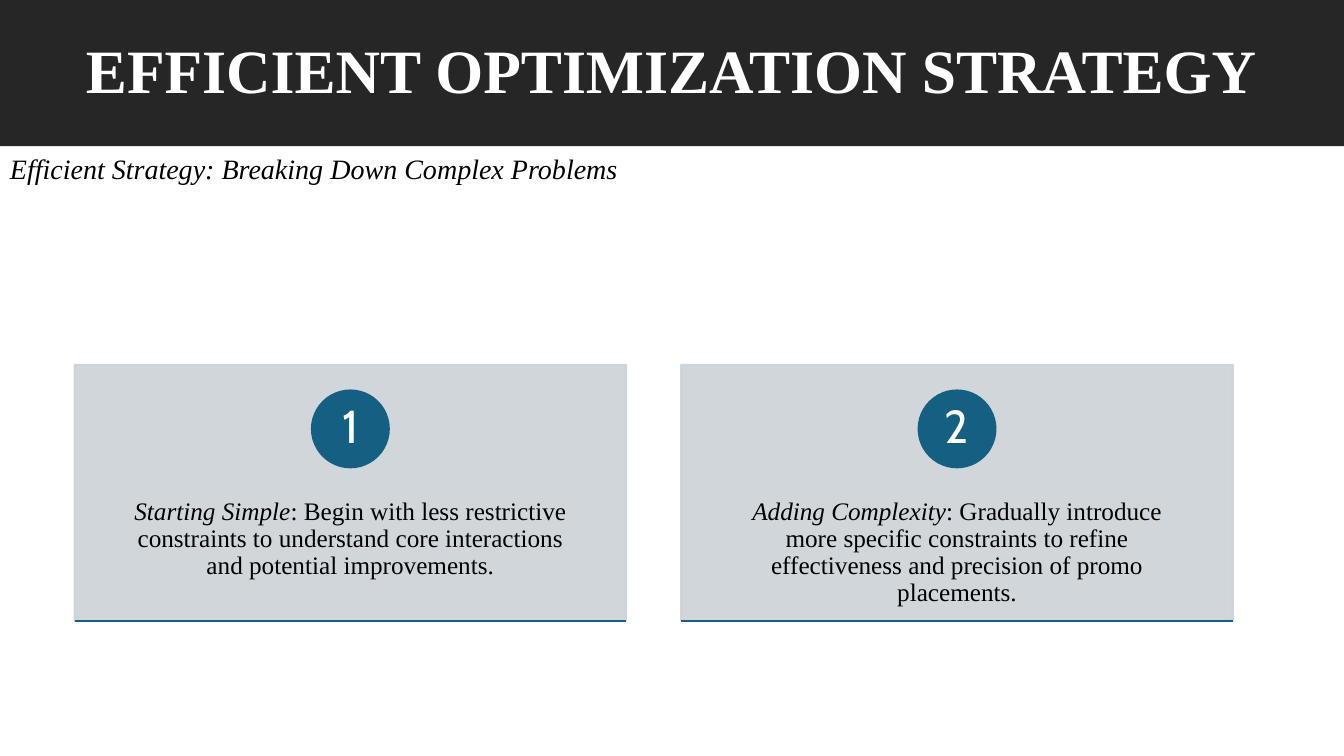
from lxml import etree
from pptx import Presentation
from pptx.dml.color import RGBColor
from pptx.enum.shapes import MSO_CONNECTOR, MSO_SHAPE
from pptx.enum.text import MSO_ANCHOR, PP_ALIGN
from pptx.oxml.ns import qn
from pptx.util import Inches, Pt

RECTANGLE, OVAL = MSO_SHAPE.RECTANGLE, MSO_SHAPE.OVAL
STRAIGHT = MSO_CONNECTOR.STRAIGHT
TOP, MIDDLE = MSO_ANCHOR.TOP, MSO_ANCHOR.MIDDLE
LEFT, CENTER = PP_ALIGN.LEFT, PP_ALIGN.CENTER

COLORS = {"banner": "262626", "card": "CCD2D8", "accent": "156082",
          "light": "FFFFFF", "dark": "000000"}
SERIF, NUMERAL = "Times New Roman", "Cabin"
PAGE_WIDTH, PAGE_HEIGHT = 13.33, 7.5
BANNER_HEIGHT = 1.45
CARD_LEFT, CARD_TOP, CARD_WIDTH, CARD_HEIGHT = 0.74, 3.62, 5.47, 2.54
CARD_STEP = 1.1 * CARD_WIDTH
CARDS = [
    ("Starting Simple", ": Begin with less restrictive constraints to understand "
     "core interactions and potential improvements."),
    ("Adding Complexity", ": Gradually introduce more specific constraints to refine "
     "effectiveness and precision of promo placements."),
]


def color(name):
    return RGBColor.from_string(COLORS[name])


def add_panel(page, kind, box, fill, outlined=True, opacity=100):
    """Add a flat shape whose outline, if any, matches its fill."""
    panel = page.shapes.add_shape(kind, *map(Inches, box))
    panel.shadow.inherit = False
    panel.fill.solid()
    panel.fill.fore_color.rgb = color(fill)
    if outlined:
        panel.line.color.rgb = color(fill)
        panel.line.width = Pt(1.5)
    else:
        panel.line.fill.background()
    if opacity < 100:
        for tint in panel._element.spPr.iter(qn("a:srgbClr")):
            etree.SubElement(tint, qn("a:alpha")).set("val", str(opacity * 1000))
    return panel


def write(shape, spans, size, tone, font=SERIF, bold=False, align=CENTER,
          anchor=MIDDLE, inset=(0.1, 0.05), spacing=0.9):
    """Fill a shape with one paragraph of (text, italic) spans."""
    frame = shape.text_frame
    frame.word_wrap = True
    frame.vertical_anchor = anchor
    frame.margin_left = frame.margin_right = Inches(inset[0])
    frame.margin_top = frame.margin_bottom = Inches(inset[1])
    para = frame.paragraphs[0]
    para.alignment = align
    para.line_spacing = spacing
    for text, italic in spans:
        span = para.add_run()
        span.text = text
        span.font.name = font
        span.font.size = Pt(size)
        span.font.bold = bold
        span.font.italic = italic
        span.font.color.rgb = color(tone)


def add_banner(page, box):
    banner = add_panel(page, RECTANGLE, box, "banner", outlined=False)
    write(banner, [("EFFICIENT OPTIMIZATION STRATEGY", False)], 44, "light", bold=True)


def add_subtitle(page, box):
    subtitle = page.shapes.add_textbox(*map(Inches, box))
    write(subtitle, [("Efficient Strategy: Breaking Down Complex Problems", True)],
          20, "dark", align=LEFT, anchor=TOP, spacing=1)


def add_card(page, box, number, heading, body):
    left, top, width, height = box
    add_panel(page, RECTANGLE, box, "card", opacity=90)

    text_top = top + 0.38 * height
    text = page.shapes.add_textbox(
        *map(Inches, (left, text_top, width, 0.6 * height)))
    write(text, [(heading, True), (body, False)], 18, "dark",
          anchor=TOP, inset=(0.43, 0.36))

    diameter = 0.3 * height
    badge = add_panel(page, OVAL, (left + (width - diameter) / 2, top + 0.1 * height,
                                   diameter, diameter), "accent")
    write(badge, [(str(number), False)], 33, "light", font=NUMERAL, inset=(0.06, 0.01))

    bottom = top + height
    rule = page.shapes.add_connector(
        STRAIGHT, *map(Inches, (left, bottom, left + width, bottom)))
    rule.line.color.rgb = color("accent")
    rule.line.width = Pt(1.5)
    etree.SubElement(rule._element.spPr, qn("a:effectLst"))


def main():
    deck = Presentation()
    deck.slide_width, deck.slide_height = Inches(PAGE_WIDTH), Inches(PAGE_HEIGHT)
    page = deck.slides.add_slide(deck.slide_layouts[6])
    add_banner(page, (0, 0, PAGE_WIDTH, BANNER_HEIGHT))
    for index, (heading, body) in enumerate(CARDS):
        box = (CARD_LEFT + index * CARD_STEP, CARD_TOP, CARD_WIDTH, CARD_HEIGHT)
        add_card(page, box, index + 1, heading, body)
    add_subtitle(page, (0, BANNER_HEIGHT, PAGE_WIDTH / 2, 0.44))
    deck.save("out.pptx")


if __name__ == "__main__":
    main()
